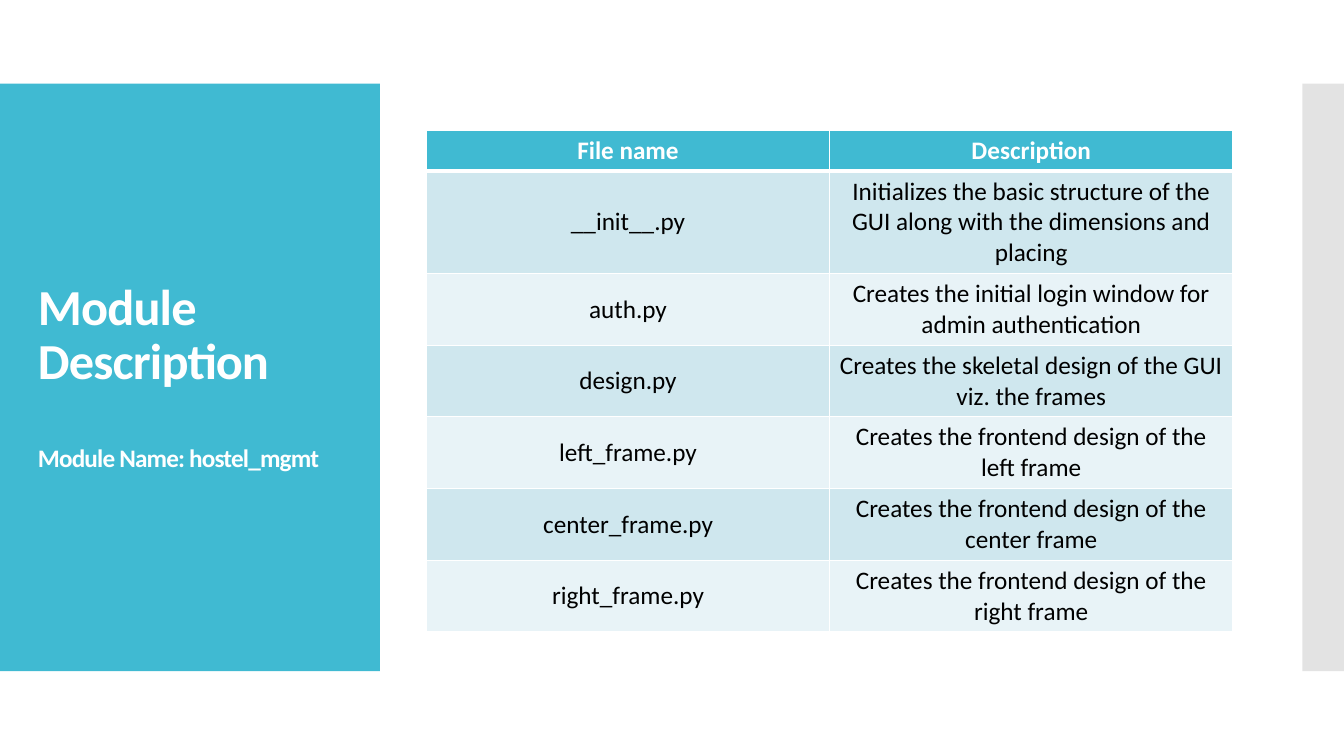
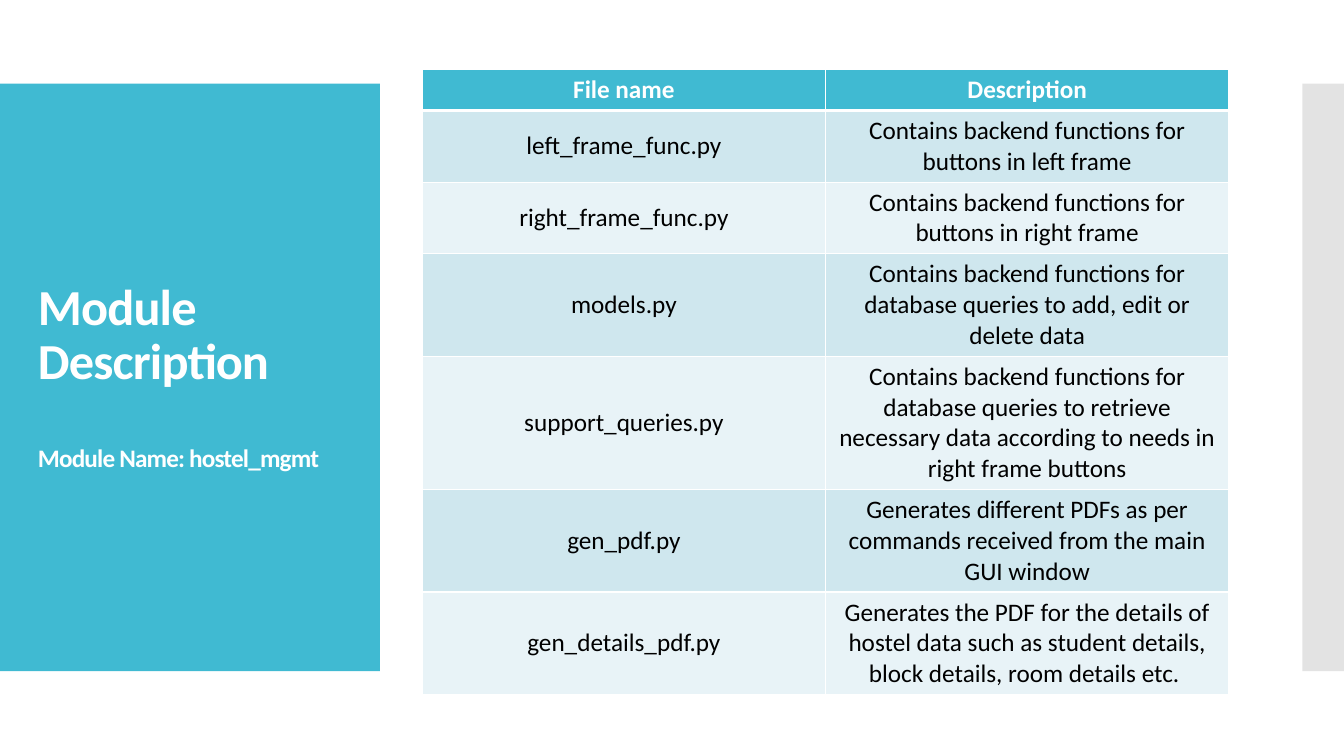
import pptx
import pptx.util
import pptx.dml.color
import pptx.enum.shapes
import pptx.enum.text
import pptx.oxml
import pptx.oxml.ns
from dataclasses import dataclass

Pt = pptx.util.Pt
RGB = pptx.dml.color.RGBColor.from_string
ALIGN = pptx.enum.text.PP_ALIGN
MIDDLE = pptx.enum.text.MSO_ANCHOR.MIDDLE
TOP = pptx.enum.text.MSO_ANCHOR.TOP


@dataclass(frozen=True)
class Theme:
    font: str = "Calibri"
    accent: str = "40BAD2"
    edge: str = "C8C8C8"
    white: str = "FFFFFF"
    black: str = "000000"
    bands: tuple = ("CFE7EE", "E8F3F7")
    title: int = 36
    body: int = 18
    line: int = 22
    cell_padding: float = 7.2


theme = Theme()


def write(p, text, size=theme.body, color=theme.black, bold=False,
          align=ALIGN.LEFT, spacing=None, before=None, tracking=None):
    p.alignment = align
    p.line_spacing = spacing
    if before is not None:
        p.space_before = Pt(before)
    r = p.add_run()
    r.text = text
    r.font.name = theme.font
    r.font.size = Pt(size)
    r.font.bold = bold
    r.font.color.rgb = RGB(color)
    if tracking is not None:
        r.font._element.set("spc", str(round(tracking * 100)))


def set_borders(cell, **widths):
    tcPr = cell._tc.get_or_add_tcPr()
    for i, side in enumerate("LRTB"):
        ln = pptx.oxml.parse_xml(
            f'<a:ln{side} {pptx.oxml.ns.nsdecls("a")} w="{Pt(widths.get(side, 1))}">'
            f'<a:solidFill><a:srgbClr val="{theme.white}"/></a:solidFill></a:ln{side}>')
        tcPr.insert(i, ln)


header = ("File name", "Description", 1)
modules = [
    (304.6, 93, [
        ("__init__.py", "Initializes the basic structure of the GUI along with the dimensions and placing", 3),
        ("auth.py", "Creates the initial login window for admin authentication", 2),
        ("design.py", "Creates the skeletal design of the GUI viz. the frames", 2),
        ("left_frame.py", "Creates the frontend design of the left frame", 2),
        ("center_frame.py", "Creates the frontend design of the center frame", 2),
        ("right_frame.py", "Creates the frontend design of the right frame", 2),
    ]),
    (301.7, 49.7, [
        ("left_frame_func.py", "Contains backend functions for buttons in left frame", 2),
        ("right_frame_func.py", "Contains backend functions for buttons in right frame", 2),
        ("models.py", "Contains backend functions for database queries to add, edit or delete data", 3),
        ("support_queries.py", "Contains backend functions for database queries to retrieve necessary data "
                               "according to needs in right frame buttons", 4),
        ("gen_pdf.py", "Generates different PDFs as per commands received from the main GUI window", 3),
        ("gen_details_pdf.py", "Generates the PDF for the details of hostel data such as student details, "
                               "block details, room details etc. ", 3),
    ]),
]

prs = pptx.Presentation()
prs.slide_width = Pt(960)
prs.slide_height = Pt(540)

for left, top, files in modules:
    s = prs.slides.add_slide(prs.slide_layouts[6])

    for x, width, color, alpha in ((0, 271.3, theme.accent, 100), (930.3, 29.7, theme.edge, 50)):
        sp = s.shapes.add_shape(pptx.enum.shapes.MSO_SHAPE.RECTANGLE, Pt(x), Pt(59.8), Pt(width), Pt(419.6))
        sp.shadow.inherit = False
        sp.line.fill.background()
        sp.fill.solid()
        sp.fill.fore_color.rgb = RGB(color)
        if alpha < 100:
            clr = sp._element.spPr.find(".//" + pptx.oxml.ns.qn("a:srgbClr"))
            clr.append(pptx.oxml.parse_xml(
                f'<a:alpha {pptx.oxml.ns.nsdecls("a")} val="{alpha * 1000}"/>'))

    tf = s.shapes.add_textbox(Pt(20), Pt(88.5), Pt(232), Pt(362)).text_frame
    tf.word_wrap = True
    tf.vertical_anchor = MIDDLE
    heading = dict(color=theme.white, bold=True, spacing=0.9, tracking=-0.6)
    write(tf.paragraphs[0], "Module Description", size=theme.title, **heading)
    write(tf.add_paragraph(), "Module Name: hostel_mgmt", before=39.5, **heading)

    rows = [header] + files
    heights = [theme.cell_padding + theme.line * lines for _, _, lines in rows]
    table = s.shapes.add_table(len(rows), 2, Pt(left), Pt(top), Pt(576), Pt(sum(heights))).table
    table.horz_banding = False
    for i, (name, description, _) in enumerate(rows):
        table.rows[i].height = Pt(heights[i])
        is_header = i == 0
        for j, text in enumerate((name, description)):
            cell = table.cell(i, j)
            cell.vertical_anchor = TOP if is_header else MIDDLE
            cell.fill.solid()
            cell.fill.fore_color.rgb = RGB(theme.accent if is_header else theme.bands[(i - 1) % 2])
            set_borders(cell, T=3 if i == 1 else 1, B=3 if is_header else 1)
            write(cell.text_frame.paragraphs[0], text, bold=is_header, align=ALIGN.CENTER,
                  color=theme.white if is_header else theme.black)

prs.save("out.pptx")
